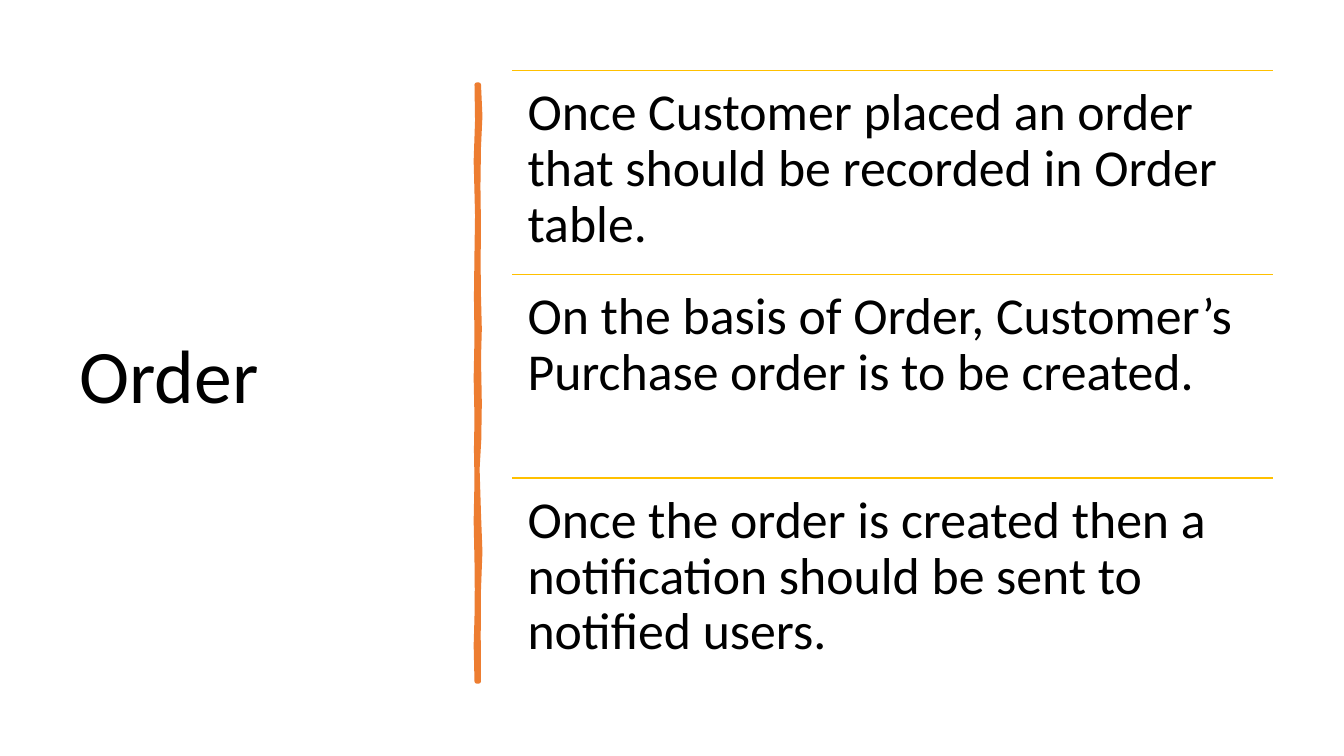
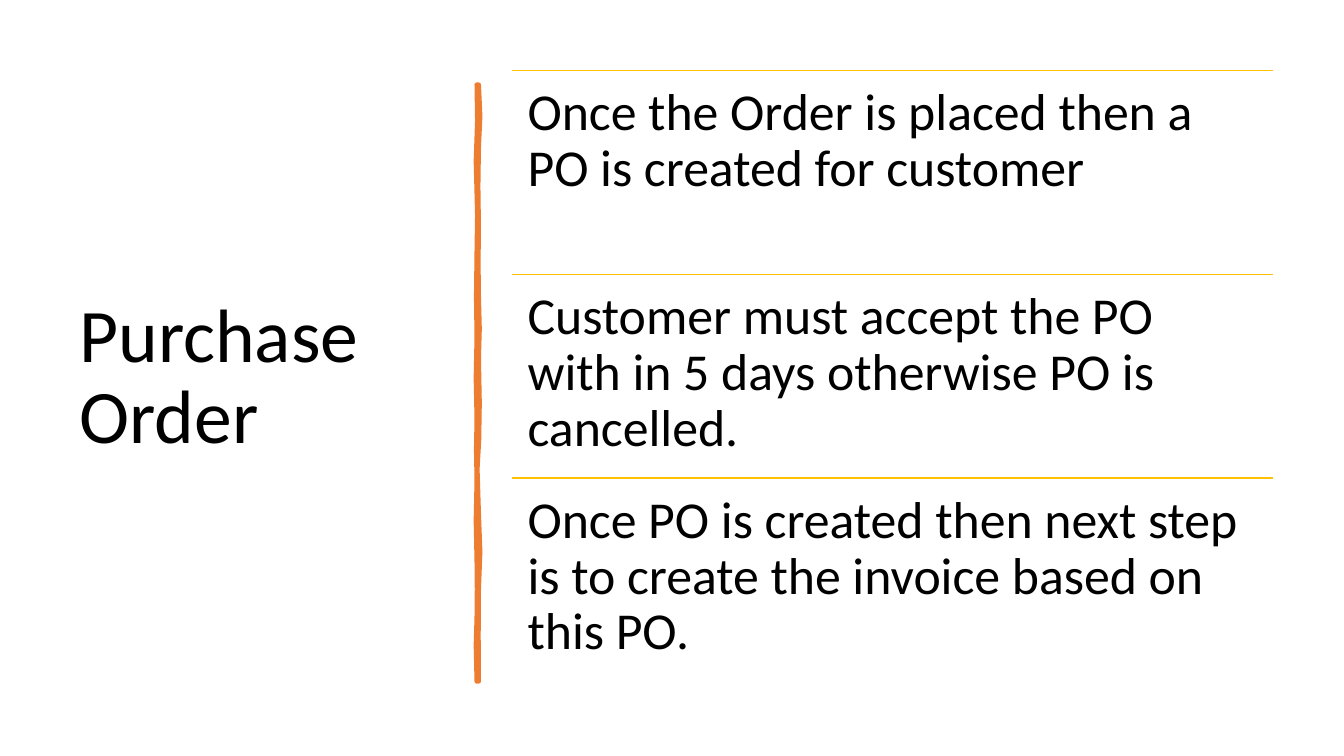
from lxml import etree
from pptx import Presentation
from pptx.dml.color import RGBColor
from pptx.enum import shapes, text
from pptx.oxml import ns
from pptx.util import Pt

BLACK = RGBColor(0x00, 0x00, 0x00)
ORANGE = RGBColor(0xED, 0x7D, 0x31)
GOLD = RGBColor(0xFF, 0xC0, 0x00)
FONT = "Calibri"

LEFT, TOP, WIDTH, STEP = 365.8, 50.4, 543.6, 145.5
RIGHT_EDGE = [
    (342, 60.5), (343, 83), (342, 105), (341.6, 133), (342, 163),
    (341.7, 187), (342, 212), (342.6, 235), (342, 256), (342.6, 288),
    (342.2, 314), (341, 335), (342, 367), (343, 394), (342, 421),
    (341.8, 454), (342, 486.7),
]
LEFT_EDGE = [
    (340.6, 486.7), (340, 461), (340.6, 441), (340.8, 421), (340.6, 401),
    (340, 372), (340.6, 343), (340.2, 321), (340.6, 299), (340, 270),
    (340.6, 241), (340.2, 212), (340.6, 180), (341, 154), (340.4, 130),
    (340, 115), (341, 86), (340.6, 60.5),
]
SLIDES = [
    ("Order", [
        "Once Customer placed an order that should be recorded in Order table.",
        "On the basis of Order, Customer’s Purchase order is to be created.",
        "Once the order is created then a notification should be sent to notified users.",
    ]),
    ("Purchase Order", [
        "Once the Order is placed then a PO is created for customer",
        "Customer must accept the PO with in 5 days otherwise PO is cancelled.",
        "Once PO is created then next step is to create the invoice based on this PO.",
    ]),
]


def write(slide, words, box, size, pad, anchor):
    frame = slide.shapes.add_textbox(*map(Pt, box)).text_frame
    frame.word_wrap = True
    frame.vertical_anchor = anchor
    frame.margin_left = frame.margin_right = Pt(pad[0])
    frame.margin_top = frame.margin_bottom = Pt(pad[1])
    para = frame.paragraphs[0]
    para.text = words
    para.line_spacing = 0.9
    para.font.name = FONT
    para.font.size = Pt(size)
    para.font.color.rgb = BLACK


deck = Presentation()
deck.slide_width, deck.slide_height = Pt(960), Pt(540)

for title, points in SLIDES:
    slide = deck.slides.add_slide(deck.slide_layouts[6])
    write(slide, title, (49.7, 50.4, 269.3, 440), 54, (7.2, 3.6),
          text.MSO_ANCHOR.MIDDLE)

    edge = [(Pt(x), Pt(y)) for x, y in RIGHT_EDGE + LEFT_EDGE]
    pen = slide.shapes.build_freeform(*edge[0])
    pen.add_line_segments(edge[1:], close=True)
    brush = pen.convert_to_shape()
    brush.shadow.inherit = False
    brush.fill.solid()
    brush.fill.fore_color.rgb = ORANGE
    brush.line.color.rgb = ORANGE
    brush.line.width = Pt(3.25)
    etree.SubElement(brush.line._get_or_add_ln(), ns.qn("a:round"))

    for row, words in enumerate(points):
        top = TOP + row * STEP
        rule = slide.shapes.add_connector(
            shapes.MSO_CONNECTOR.STRAIGHT,
            Pt(LEFT), Pt(top), Pt(LEFT + WIDTH), Pt(top))
        rule.line.color.rgb = GOLD
        rule.line.width = Pt(1)
        etree.SubElement(rule._element.spPr, ns.qn("a:effectLst"))
        write(slide, words, (LEFT, top, WIDTH, STEP), 37, (11, 11),
              text.MSO_ANCHOR.TOP)

deck.save("out.pptx")
